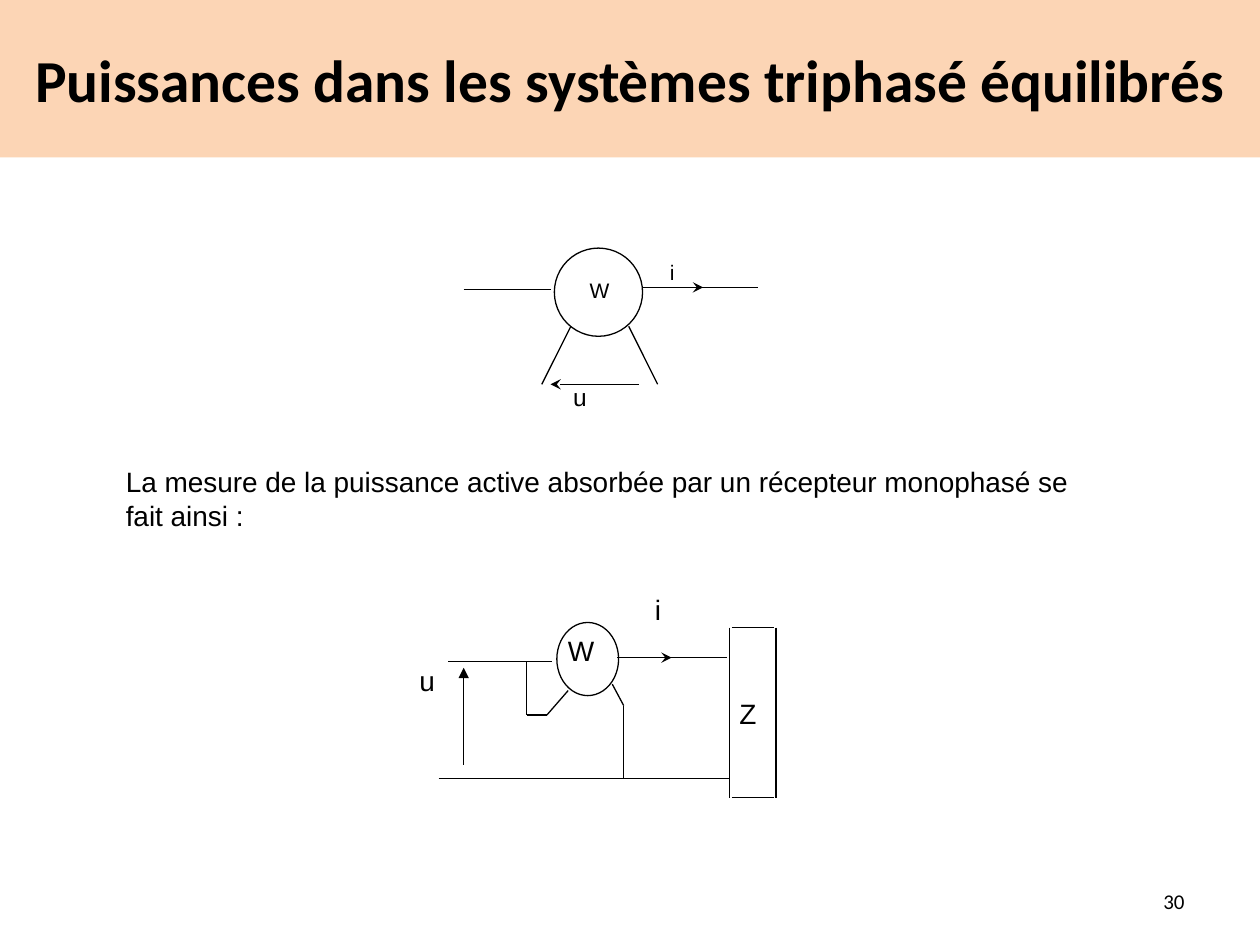
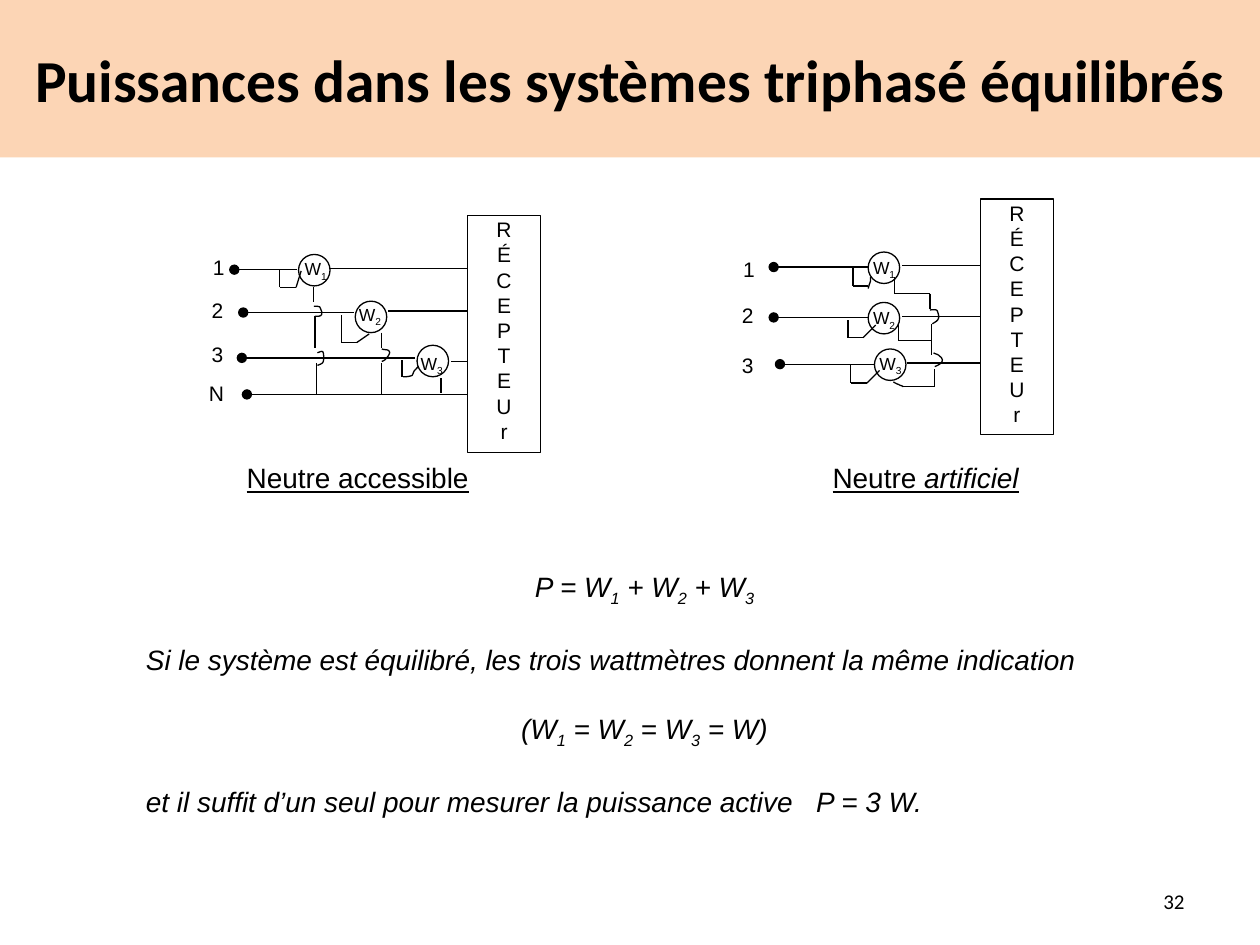
"""Builds two slides on wattmeter wiring in balanced three-phase systems."""
from lxml import etree
from pptx import Presentation
from pptx import util as u
from pptx.dml.color import RGBColor
from pptx.enum import shapes, text
from pptx.oxml.ns import qn

COLORS = {"band": "FCD5B5", "ink": "000000", "paper": "FFFFFF"}
TITLE = "Puissances dans les systèmes triphasé équilibrés"
RECEIVER = "RÉCEPTEUr"
LEFT, CENTER, RIGHT = text.PP_ALIGN.LEFT, text.PP_ALIGN.CENTER, text.PP_ALIGN.RIGHT

SINGLE_PHASE = {
    "meters": [(316.8, 141.8, 50.4, 50.4), (318.2, 355.7, 35.3, 41.8)],
    "wires": [
        [(265, 165.6), (314.6, 165.6)],
        [(367.2, 164.2), (433.4, 164.2)],
        [(326.2, 186.5), (309.6, 219.6)],
        [(359.3, 186.5), (375.8, 219.6)],
        [(256.3, 378), (315.4, 378)],
        [(356.4, 375.8), (415.4, 375.8)],
        [(416.9, 358.6), (416.9, 455.8)],
        [(443.5, 358.6), (443.5, 455.8)],
        [(418.3, 358.6), (442.1, 358.6)],
        [(418.3, 455.8), (442.1, 455.8)],
        [(301, 378), (301, 408.6), (312.5, 408.6), (324.7, 394.6)],
        [(349.9, 391), (356.4, 403.2), (356.4, 445)],
        [(250.6, 445), (416.9, 445)],
    ],
    "arrows": [
        ((368.6, 164.2), (401.8, 164.2), "stealth"),
        ((365, 219.6), (314.6, 219.6), "stealth"),
        ((352.8, 375.8), (383.8, 375.8), "stealth"),
        ((265, 437), (265, 381.6), "triangle"),
    ],
    "labels": [
        ("i", 375.8, 144.7, 12), ("u", 320.4, 214.6, 14), ("W", 329.8, 154.8, 12),
        ("i", 367.2, 334.8, 16), ("W", 317.5, 358.6, 16),
        ("u", 232.6, 375.8, 16), ("Z", 415.4, 394.6, 16),
    ],
}
MEASURE = ("La mesure de la puissance active absorbée par un récepteur "
           "monophasé se fait ainsi\u00a0:")

NEUTRAL_WIRED = {
    "meters": [(170.6, 145.4), (203, 172.1), (238.3, 197.3)],
    "meter_labels": [(167, 144), (198, 169.9), (233.3, 198)],
    "inputs": [(133.9, 169.9, 154.1), (139, 202.3, 178.6),
               (138.2, 236.9, 204.5), (141.1, 267.1, 225.4)],
    "input_labels": [("1", 114.5, 141.8), ("2", 113.8, 166.3),
                     ("3", 113.8, 191.5), ("N", 112.3, 213.8)],
    "wires": [
        [(187.9, 153.4), (269.3, 153.4)],
        [(221.8, 177.8), (267.1, 177.8)],
        [(257.8, 206.6), (267.1, 206.6)],
        [(159.8, 154.1), (159.8, 164.2), (169.2, 164.2), (172.1, 154.8)],
        [(195.1, 180), (195.1, 195.8), (203.8, 195.8), (211, 190.8)],
        [(229.7, 205.9), (229.7, 215.3)],
        [(179.3, 164.2), (179.3, 172.8)],
        [(180, 180.7), (180, 198.7)],
        [(180.7, 207.4), (180.7, 225.4)],
        [(218.2, 190.1), (218.2, 198.7)],
        [(218.2, 207.4), (218.2, 225.4)],
        [(252, 216), (252, 224.6)],
    ],
    "curves": [
        [(179.3, 175), (180.7, 175), (182.9, 175), (182.9, 175.7),
         (185.8, 181.4), (182.2, 180.7), (180, 180.7)],
        [(181.4, 201.6), (183.6, 200.9), (185, 199.4), (185, 203.8), (185, 205.2),
         (185, 206.6), (184.3, 207.4), (183.6, 208.1), (181.4, 208.8), (181.4, 208.8)],
        [(218.2, 199.4), (219.6, 200.2), (221.8, 199.4), (222.5, 200.9), (223.2, 201.6),
         (221.8, 203.8), (221, 204.5), (220.3, 205.9), (218.2, 206.6), (218.2, 206.6)],
        [(230.4, 215.3), (231.8, 215.3), (233.3, 215.3), (235.4, 214.6), (236.2, 213.8),
         (236.2, 212.4), (236.9, 211.7), (237.6, 211), (238.3, 210.2), (239, 209.5)],
    ],
    "receiver": (267.1, 123.1, 41.8, 135.4),
    "caption": ("Neutre accessible", "", 133.9),
}
NEUTRAL_MADE = {
    "meters": [(496.1, 144), (496.1, 172.8), (499.7, 199.4)],
    "meter_labels": [(491.8, 143.3), (491.8, 172.1), (495.4, 198)],
    "inputs": [(442.1, 496.1, 152.6), (442.1, 496.1, 181.4), (445.7, 499.7, 208.1)],
    "input_labels": [("1", 417.6, 143.3), ("2", 416.9, 169.2), ("3", 416.9, 198)],
    "wires": [
        [(515.5, 151.9), (569.5, 151.9)],
        [(515.5, 180.7), (569.5, 180.7)],
        [(518.4, 207.4), (572.4, 207.4)],
        [(487.4, 153.4), (487.4, 163.4), (496.1, 163.4)],
        [(484.6, 182.9), (484.6, 193), (493.2, 193), (500.4, 185.8)],
        [(486, 208.8), (486, 218.9), (495.4, 218.9), (502.6, 211.7)],
        [(511.2, 158.4), (511.2, 167.8), (531.4, 167.8), (531.4, 176.4)],
        [(513.4, 185.8), (513.4, 194.4), (532.1, 194.4)],
        [(532.1, 185), (532.1, 203)],
        [(534.2, 211), (534.2, 221), (516.2, 221)],
    ],
    "curves": [
        [(496.1, 164.9), (497.5, 159.8), (497.5, 162), (497.5, 158.4)],
        [(531.4, 177.1), (532.8, 177.1), (535, 176.4), (535.7, 177.8),
         (537.8, 182.9), (535, 183.6), (532.8, 185)],
        [(533.5, 201.6), (534.2, 202.3), (535.7, 202.3), (536.4, 203),
         (540.7, 205.9), (537.8, 208.1), (534.2, 209.5)],
        [(516.2, 221), (515.5, 220.3), (514.1, 220.3), (513.4, 219.6),
         (512.6, 219.6), (510.5, 218.2), (510.5, 218.2)],
    ],
    "receiver": (560.2, 113.8, 41.8, 134.6),
    "caption": ("Neutre ", "artificiel", 468.7),
}
CONCLUSION = [
    ("P = W_1 + W_2 + W_3", CENTER),
    ("Si le système est équilibré, les trois wattmètres donnent la même indication", LEFT),
    ("(W_1 = W_2 = W_3 = W)", CENTER),
    ("et il suffit d’un seul pour mesurer la puissance active\tP = 3 W.", LEFT),
]


def color(name):
    return RGBColor.from_string(COLORS[name])


def set_font(font, size, name="Arial"):
    font.size, font.name = u.Pt(size), name
    font.color.rgb = color("ink")


def add_spans(para, words):
    """Adds runs; the character after each underscore is a subscript."""
    first, *others = words.split("_")
    pieces = [(first, False)]
    for other in others:
        pieces += [(other[0], True), (other[1:], False)]
    for piece, lowered in pieces:
        if piece:
            span = para.add_run()
            span.text = piece
            if lowered:
                span.font._element.set("baseline", "-25000")


def add_text(page, words, place, size, align=LEFT, name="Arial"):
    box = page.shapes.add_textbox(*map(u.Pt, place))
    box.text_frame.word_wrap = True
    para = box.text_frame.paragraphs[0]
    add_spans(para, words)
    para.alignment = align
    set_font(para.font, size, name)
    return box


def add_outlined(page, kind, place, fill="paper"):
    shape = page.shapes.add_shape(kind, *map(u.Pt, place))
    shape.shadow.inherit = False
    shape.fill.solid()
    shape.fill.fore_color.rgb = color(fill)
    shape.line.color.rgb = color("ink")
    shape.line.width = u.Pt(0.75)
    return shape


def add_line(page, start, end, head=None, tail=None):
    line = page.shapes.add_connector(shapes.MSO_CONNECTOR.STRAIGHT, *map(u.Pt, start + end))
    line.line.color.rgb = color("ink")
    line.line.width = u.Pt(0.75)
    outline = line.line._get_or_add_ln()
    for tag, kind in (("a:headEnd", head), ("a:tailEnd", tail)):
        if kind:
            etree.SubElement(outline, qn(tag), type=kind)
    etree.SubElement(line._element.spPr, qn("a:effectLst"))


def add_wires(page, wires):
    for wire in wires:
        for start, end in zip(wire, wire[1:]):
            add_line(page, start, end)


def add_curve(page, knots, steps=6):
    """Draws chained cubic curves as a fine open outline."""
    points = []
    for first in range(0, len(knots) - 1, 3):
        for step in range(1, steps + 1):
            t = step / steps
            weights = ((1 - t) ** 3, 3 * t * (1 - t) ** 2, 3 * t * t * (1 - t), t ** 3)
            points.append(tuple(
                u.Pt(sum(w * knot[axis] for w, knot in zip(weights, knots[first:first + 4])))
                for axis in (0, 1)))
    builder = page.shapes.build_freeform(*map(u.Pt, knots[0]))
    builder.add_line_segments(points, close=False)
    curve = builder.convert_to_shape()
    curve.shadow.inherit = False
    curve.fill.background()
    curve.line.color.rgb = color("ink")
    curve.line.width = u.Pt(0.75)


def add_page(deck, number):
    page = deck.slides.add_slide(deck.slide_layouts[6])
    band = add_outlined(page, shapes.MSO_SHAPE.RECTANGLE, (0, 0, 720, 90), "band")
    band.line.fill.background()
    para = band.text_frame.paragraphs[0]
    para.text, para.alignment = TITLE, CENTER
    set_font(para.font, 34, "Calibri")
    para.font.bold = True
    footer = add_text(page, number, (516.2, 500.4, 167.8, 28.8), 12, RIGHT, "Calibri")
    footer.text_frame.vertical_anchor = text.MSO_ANCHOR.MIDDLE
    return page


def add_three_phase(page, circuit):
    for left, top in circuit["meters"]:
        add_outlined(page, shapes.MSO_SHAPE.OVAL, (left, top, 18, 18))
    for start, end, y in circuit["inputs"]:
        add_line(page, (start, y), (end, y), head="oval")
    add_wires(page, circuit["wires"])
    for knots in circuit["curves"]:
        add_curve(page, knots)

    receiver = add_outlined(page, shapes.MSO_SHAPE.RECTANGLE, circuit["receiver"])
    frame = receiver.text_frame
    frame.vertical_anchor = text.MSO_ANCHOR.TOP
    frame.margin_left = frame.margin_right = u.Pt(4.3)
    frame.margin_top = frame.margin_bottom = u.Pt(0.7)
    frame.text = "\n".join(RECEIVER)
    for para in frame.paragraphs:
        para.alignment = CENTER
        set_font(para.font, 12)

    for words, left, top in circuit["input_labels"]:
        add_text(page, words, (left, top, 27.4, 23.8), 12)
    for number, (left, top) in enumerate(circuit["meter_labels"], 1):
        add_text(page, f"W_{number}", (left, top, 38.2, 28.8), 10)

    plain, slanted, left = circuit["caption"]
    para = add_text(page, plain, (left, 259.9, 150, 26.6), 16).text_frame.paragraphs[0]
    para.font.underline = True
    if slanted:
        span = para.add_run()
        span.text, span.font.italic = slanted, True


def add_conclusion(page):
    frame = page.shapes.add_textbox(*map(u.Pt, (76.3, 322, 583.9, 150))).text_frame
    frame.word_wrap = True
    for index, (words, align) in enumerate(CONCLUSION):
        para = frame.add_paragraph() if index else frame.paragraphs[0]
        add_spans(para, words)
        para.alignment = align
        if index:
            para.space_before = u.Pt(20)
        if "\t" in words:
            stops = etree.SubElement(para._p.get_or_add_pPr(), qn("a:tabLst"))
            etree.SubElement(stops, qn("a:tab"), pos=str(u.Pt(383)), algn="l")
        set_font(para.font, 16)
        para.font.italic = True


def main():
    deck = Presentation()
    deck.slide_width, deck.slide_height = u.Pt(720), u.Pt(540)

    page = add_page(deck, "30")
    add_text(page, MEASURE, (64.8, 262, 561.6, 46), 16)
    for place in SINGLE_PHASE["meters"]:
        add_outlined(page, shapes.MSO_SHAPE.OVAL, place)
    add_wires(page, SINGLE_PHASE["wires"])
    for start, end, tip in SINGLE_PHASE["arrows"]:
        add_line(page, start, end, tail=tip)
    for words, left, top, size in SINGLE_PHASE["labels"]:
        add_text(page, words, (left, top, 36, 28), size)

    page = add_page(deck, "32")
    for circuit in (NEUTRAL_WIRED, NEUTRAL_MADE):
        add_three_phase(page, circuit)
    add_conclusion(page)
    deck.save("out.pptx")


if __name__ == "__main__":
    main()
